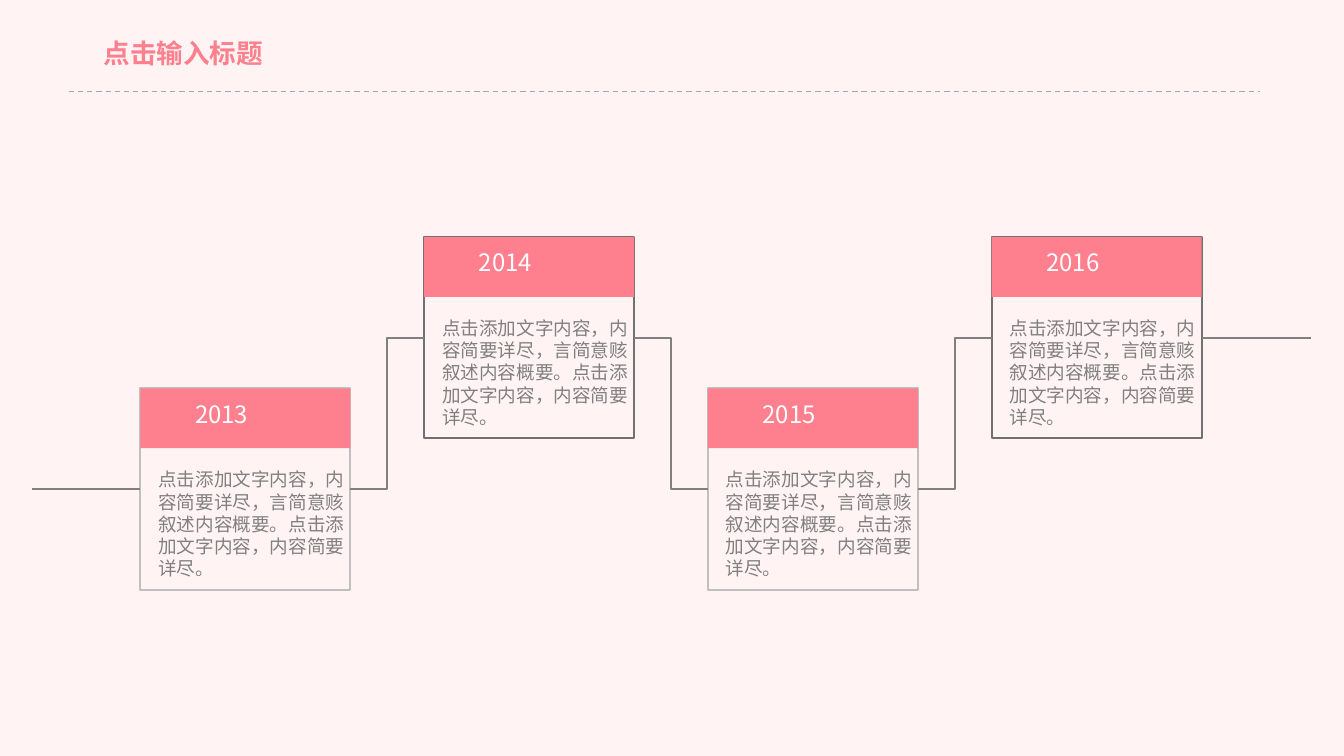
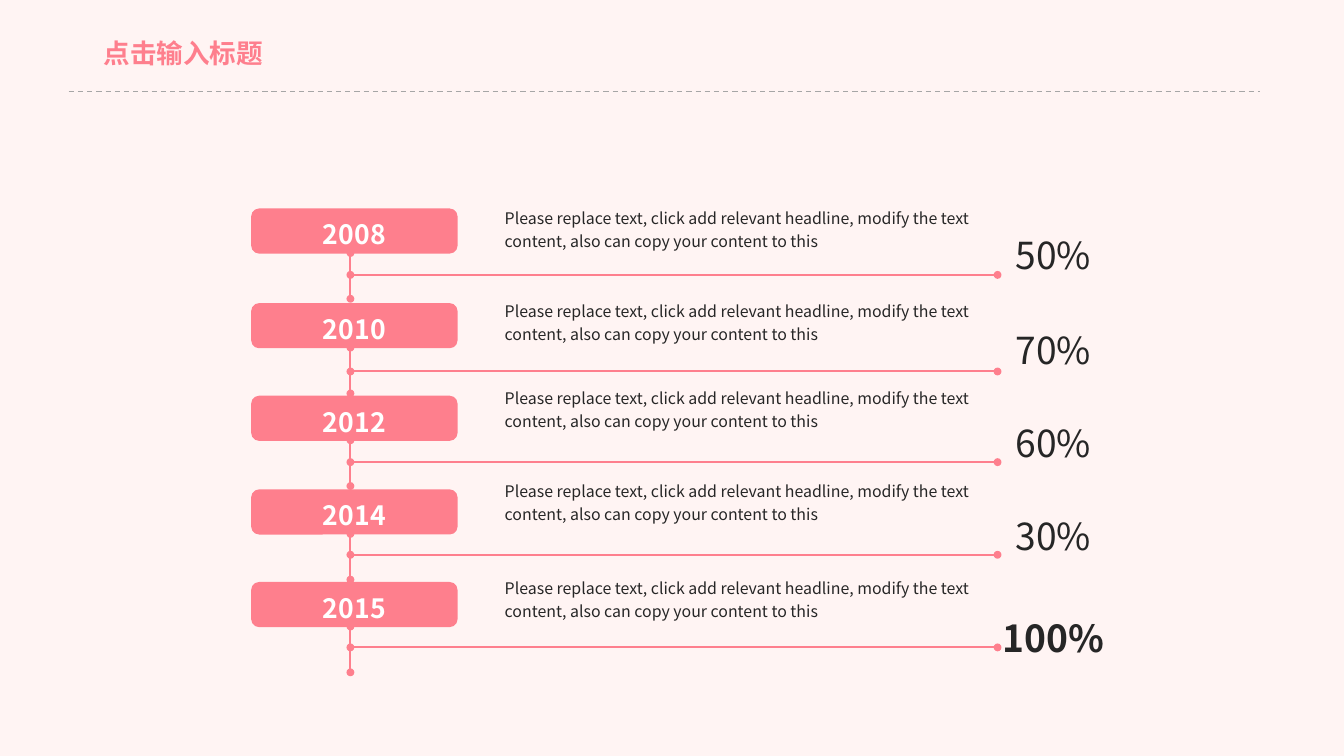
from pptx import Presentation
from pptx.dml.color import RGBColor
from pptx.enum.dml import MSO_LINE
from pptx.enum.shapes import MSO_CONNECTOR, MSO_SHAPE
from pptx.enum.text import MSO_ANCHOR, MSO_AUTO_SIZE, PP_ALIGN
from pptx.oxml.ns import qn
from pptx.util import Pt
from lxml.etree import SubElement

# Content
TITLE = "点击输入标题"
CARD_LINES = [
    "点击添加文字内容，内",
    "容简要详尽，言简意赅",
    "叙述内容概要。点击添",
    "加文字内容，内容简要",
    "详尽。",
]
CARDS = [("2013", "low"), ("2014", "high"), ("2015", "low"), ("2016", "high")]
DESCRIPTION = ("Please replace text, click add relevant headline, modify the text "
               "content, also can copy your content to this")
# Year, share, then the tops of the bar, the description and the rule
ROWS = [
    ("2008", "50%", 210, 206, 276),
    ("2010", "70%", 305, 299, 373),
    ("2012", "60%", 398, 386, 464),
    ("2014", "30%", 492, 480, 557),
    ("2015", "100%", 585, 577, 650),
]

# Shared style
PX = 9525
SLIDE_SIZE = (1350, 759)
FONT = "Noto Sans CJK SC"
COLORS = {
    "background": "FFF4F3",
    "pink": "FE7F8D",
    "white": "FFFFFF",
    "title_rule": "A6A6A6",
    "gray": "808080",
    "low_border": "BFBFBF",
    "high_border": "707070",
    "ink": "262626",
}

# Timeline geometry
CARD_LEFT, CARD_PITCH = 141, 285
CARD_WIDTH, CARD_HEIGHT, HEADER_HEIGHT = 211, 202, 60
CARD_TOPS = {"low": 390, "high": 238}
TIMELINE_START, TIMELINE_END = 32, 1317

# Row geometry
BAR_LEFT, BAR_WIDTH, BAR_HEIGHT = 253, 206, 44
STEM_X, STEM_LENGTH, RULE_END = 352, 46, 1002
SHARE_CENTER, SHARE_OFFSET, SHARE_HEIGHT = 1058, 18, 56


def rgb(name):
    return RGBColor.from_string(COLORS[name])


def set_text(shape, lines, size, color, bold=False, align=PP_ALIGN.LEFT,
             spacing=None, anchor=MSO_ANCHOR.TOP, insets=None, wrap=True, grow=False):
    frame = shape.text_frame
    frame.word_wrap = wrap
    frame.vertical_anchor = anchor
    frame.auto_size = MSO_AUTO_SIZE.SHAPE_TO_FIT_TEXT if grow else MSO_AUTO_SIZE.NONE
    if insets:
        horizontal, vertical = insets
        frame.margin_left = frame.margin_right = horizontal * PX
        frame.margin_top = frame.margin_bottom = vertical * PX
    for index, line in enumerate(lines):
        paragraph = frame.add_paragraph() if index else frame.paragraphs[0]
        paragraph.alignment = align
        if spacing:
            paragraph.line_spacing = spacing
        run = paragraph.add_run()
        run.text = line
        run.font.size = Pt(size)
        run.font.bold = bold
        run.font.color.rgb = rgb(color)
        run.font.name = FONT
        SubElement(run.font._element, qn("a:ea"), typeface=FONT)


def add_text(slide, box, lines, size, color, **style):
    shape = slide.shapes.add_textbox(*(value * PX for value in box))
    set_text(shape, lines, size, color, **style)


def add_block(slide, kind, box, fill, border=None, width=1.5, opacity=None):
    shape = slide.shapes.add_shape(kind, *(value * PX for value in box))
    shape.shadow.inherit = False
    shape.fill.solid()
    shape.fill.fore_color.rgb = rgb(fill)
    if opacity:
        color = shape._element.spPr.find(qn("a:solidFill"))[0]
        SubElement(color, qn("a:alpha"), val=str(opacity * 1000))
    if border:
        shape.line.color.rgb = rgb(border)
        shape.line.width = Pt(width)
    else:
        shape.line.fill.background()
    return shape


def add_line(slide, start, end, color, width=1.5, kind=MSO_CONNECTOR.STRAIGHT,
             dash=None, dots=False):
    line = slide.shapes.add_connector(kind, *(value * PX for value in start + end))
    line.line.color.rgb = rgb(color)
    line.line.width = Pt(width)
    if dash:
        line.line.dash_style = dash
    if dots:
        for tag in ("a:headEnd", "a:tailEnd"):
            SubElement(line.line._get_or_add_ln(), qn(tag), type="oval")
    SubElement(line._element.spPr, qn("a:effectLst"))
    return line


def add_titled_slide(presentation):
    slide = presentation.slides.add_slide(presentation.slide_layouts[5])
    slide.background.fill.solid()
    slide.background.fill.fore_color.rgb = rgb("background")
    title = slide.shapes.title
    title.left, title.top, title.width, title.height = (
        value * PX for value in (94, 32, 182, 42))
    set_text(title, [TITLE], 20, "pink", bold=True, insets=(10, 5), wrap=False, grow=True)
    add_line(slide, (69, 92), (1266, 92), "title_rule", width=1, dash=MSO_LINE.DASH)
    return slide


def build_timeline(presentation):
    slide = add_titled_slide(presentation)
    label_style = dict(insets=(12, 7), wrap=False, grow=True)

    # Cards
    cards = []
    for index, (year, level) in enumerate(CARDS):
        left, top = CARD_LEFT + index * CARD_PITCH, CARD_TOPS[level]
        cards.append(add_block(
            slide, MSO_SHAPE.RECTANGLE, (left, top, CARD_WIDTH, CARD_HEIGHT),
            "white", border=level + "_border", opacity=5))
        add_block(slide, MSO_SHAPE.RECTANGLE,
                  (left, top, CARD_WIDTH, HEADER_HEIGHT), "pink")
        add_text(slide, (left + 43, top + 4, 83, 42), [year], 18, "white", **label_style)
        add_text(slide, (left + 6, top + 73, 214, 126), CARD_LINES, 14, "gray",
                 **label_style)

    # Steps between neighbouring cards
    for card, following in zip(cards, cards[1:]):
        step = add_line(slide, (0, 0), (1, 1), "gray", kind=MSO_CONNECTOR.ELBOW)
        step.begin_connect(card, 3)
        step.end_connect(following, 1)

    # Lead-in and lead-out
    first_y, last_y = (CARD_TOPS[level] + CARD_HEIGHT // 2
                       for level in (CARDS[0][1], CARDS[-1][1]))
    lead_in = add_line(slide, (TIMELINE_START, first_y), (CARD_LEFT, first_y), "gray")
    lead_in.end_connect(cards[0], 1)
    lead_out = add_line(slide, (TIMELINE_END - 1, last_y), (TIMELINE_END, last_y), "gray")
    lead_out.begin_connect(cards[-1], 3)


def build_shares(presentation):
    slide = add_titled_slide(presentation)
    for year, share, bar_top, text_top, rule_y in ROWS:
        is_total = share == "100%"

        # Year bar
        bar = add_block(slide, MSO_SHAPE.ROUNDED_RECTANGLE,
                        (BAR_LEFT, bar_top, BAR_WIDTH, BAR_HEIGHT),
                        "pink", border="pink", width=1)
        set_text(bar, [year], 20, "white", bold=True, align=PP_ALIGN.CENTER,
                 spacing=1.2, anchor=MSO_ANCHOR.MIDDLE)

        # Stem and rule
        stem_top = bar_top + BAR_HEIGHT
        add_line(slide, (STEM_X, stem_top), (STEM_X, stem_top + STEM_LENGTH),
                 "pink", dots=True)
        add_line(slide, (RULE_END, rule_y), (STEM_X, rule_y), "pink", dots=True)

        # Description and share
        add_text(slide, (507, text_top, 468, 44), [DESCRIPTION], 12, "ink",
                 spacing=1.2, insets=(0, 0), grow=True)
        width = 96 if is_total else 74
        add_text(slide, (SHARE_CENTER - width // 2, bar_top + SHARE_OFFSET,
                         width, SHARE_HEIGHT),
                 [share], 28, "ink", bold=is_total, align=PP_ALIGN.CENTER,
                 spacing=1.4 if is_total else None, anchor=MSO_ANCHOR.MIDDLE,
                 insets=(0, 0), wrap=False)


def main():
    presentation = Presentation()
    presentation.slide_width, presentation.slide_height = (
        value * PX for value in SLIDE_SIZE)
    build_timeline(presentation)
    build_shares(presentation)
    presentation.save("out.pptx")


if __name__ == "__main__":
    main()
